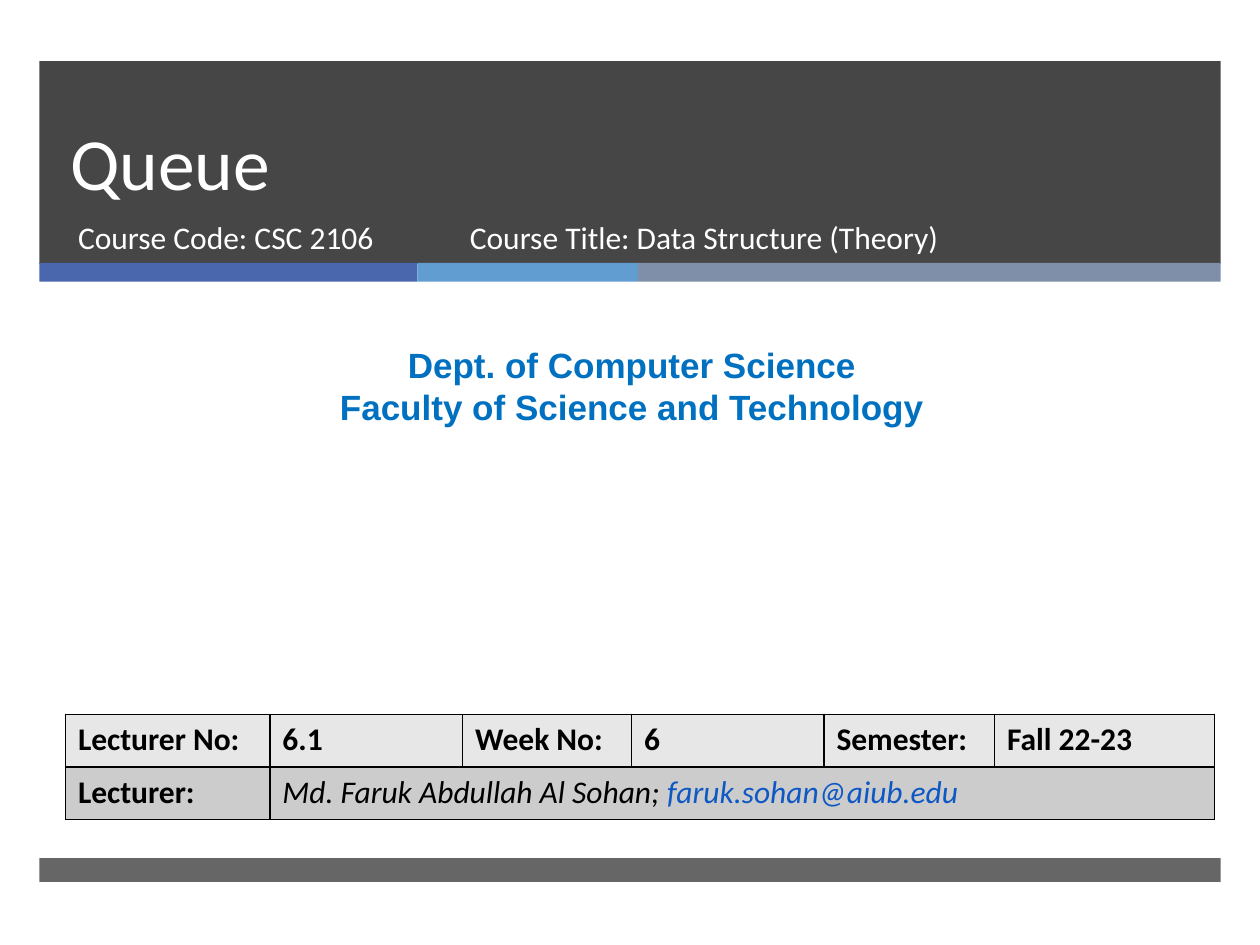
from lxml import etree
from pptx import Presentation
from pptx.dml.color import RGBColor
from pptx.enum import shapes, text
from pptx.oxml import ns
from pptx.util import Pt

CHARCOAL = RGBColor(0x26, 0x26, 0x26)
STRIPES = [
    (216, RGBColor(0x4A, 0x66, 0xAC)),
    (126, RGBColor(0x62, 0x9D, 0xD1)),
    (333, RGBColor(0x7F, 0x8F, 0xA9)),
]
WHITE = RGBColor(0xFF, 0xFF, 0xFF)
BLACK = RGBColor(0, 0, 0)
DEPT_BLUE = RGBColor(0x00, 0x70, 0xC0)
MAIL_BLUE = RGBColor(0x0E, 0x58, 0xC4)
ROW_FILLS = [RGBColor(0xE7, 0xE7, 0xE7), RGBColor(0xCC, 0xCC, 0xCC)]

BAND_LEFT, BAND_WIDTH = 22.5, 675
COURSE = {"name": "Calibri", "size": Pt(18), "color": WHITE}
LABEL = {"name": "Calibri", "size": Pt(18), "color": BLACK, "bold": True}
NAME = LABEL | {"bold": False, "italic": True}


def add_run(paragraph, words, style):
    run = paragraph.add_run()
    run.text = words
    for key, value in style.items():
        if key == "color":
            run.font.color.rgb = value
        else:
            setattr(run.font, key, value)


def add_band(slide, left, top, width, height, color, opacity=100):
    band = slide.shapes.add_shape(
        shapes.MSO_SHAPE.RECTANGLE, Pt(left), Pt(top), Pt(width), Pt(height))
    band.shadow.inherit = False
    band.line.fill.background()
    band.fill.solid()
    band.fill.fore_color.rgb = color
    if opacity < 100:
        tint = band.fill._xPr.find(".//" + ns.qn("a:srgbClr"))
        etree.SubElement(tint, ns.qn("a:alpha"), val=str(opacity * 1000))


def write_box(box, place, lines, style, align=text.PP_ALIGN.LEFT,
              anchor=text.MSO_ANCHOR.TOP):
    box.left, box.top, box.width, box.height = (Pt(v) for v in place)
    frame = box.text_frame
    frame.word_wrap = True
    frame.auto_size = text.MSO_AUTO_SIZE.NONE
    frame.vertical_anchor = anchor
    for number, line in enumerate(lines):
        paragraph = frame.add_paragraph() if number else frame.paragraphs[0]
        paragraph.alignment = align
        paragraph.space_before = Pt(0)
        add_run(paragraph, line, style)
    return frame


def add_text(slide, place, lines, style, **layout):
    box = slide.shapes.add_textbox(*(Pt(v) for v in place))
    return write_box(box, place, lines, style, **layout)


def set_borders(cell):
    properties = cell._tc.get_or_add_tcPr()
    for side in ("lnL", "lnR", "lnT", "lnB"):
        line = etree.SubElement(properties, ns.qn("a:" + side), w=str(Pt(1)))
        fill = etree.SubElement(line, ns.qn("a:solidFill"))
        etree.SubElement(fill, ns.qn("a:srgbClr"), val=str(BLACK))


def add_lecture_table(slide, place, widths, rows):
    table = slide.shapes.add_table(
        len(rows), len(widths), *(Pt(v) for v in place)).table
    for column, width in zip(table.columns, widths):
        column.width = Pt(width)
    for r, row in enumerate(rows):
        for c in range(len(widths)):
            cell = table.cell(r, c)
            set_borders(cell)
            cell.fill.solid()
            cell.fill.fore_color.rgb = ROW_FILLS[r]
        for c, runs in enumerate(row):
            for words, style in runs:
                add_run(table.cell(r, c).text_frame.paragraphs[0], words, style)
    # The lecturer's name takes the rest of the last row
    last = len(rows) - 1
    table.cell(last, 1).merge(table.cell(last, len(widths) - 1))


def main():
    deck = Presentation()
    deck.slide_width, deck.slide_height = Pt(720), Pt(540)
    slide = deck.slides.add_slide(deck.slide_layouts[0])
    title, course_code = slide.placeholders

    # Header block, colour stripes and footer bar
    add_band(slide, BAND_LEFT, 35, BAND_WIDTH, 116, CHARCOAL, 85)
    stripe_left = BAND_LEFT
    for width, color in STRIPES:
        add_band(slide, stripe_left, 150.2, width, 10.8, color)
        stripe_left += width
    add_band(slide, BAND_LEFT, 490.3, BAND_WIDTH, 13.7, CHARCOAL, 70)

    # Bring the placeholders in front of the header
    for holder in (title, course_code):
        slide.shapes._spTree.append(holder._element)

    # Title and course details
    heading = write_box(title, (33, 35.3, 615, 85.7), ["Queue"],
                        COURSE | {"size": Pt(42)},
                        anchor=text.MSO_ANCHOR.BOTTOM)
    heading.paragraphs[0].line_spacing = Pt(46)
    write_box(course_code, (37.4, 121, 219.6, 38),
              ["Course Code: CSC 2106"], COURSE)
    add_text(slide, (261.4, 121, 327.6, 38),
             ["Course Title: Data Structure (Theory)"], COURSE)

    # Department
    add_text(slide, (5.8, 193, 710.6, 55.4),
             ["Dept. of Computer Science", "Faculty of Science and Technology"],
             {"name": "Arial", "size": Pt(20), "color": DEPT_BLUE, "bold": True},
             align=text.PP_ALIGN.CENTER)

    # Lecture details
    facts = ["Lecturer No:", "6.1", "Week No:", "6", "Semester:", "Fall 22-23"]
    lecturer = [("Md. Faruk Abdullah Al Sohan; ", NAME),
                ("faruk.sohan@aiub.edu", NAME | {"color": MAIL_BLUE})]
    add_lecture_table(
        slide, (37.4, 408.2, 656.6, 60), [116.8, 110.2, 96.5, 110, 97.4, 125.7],
        [[[(fact, LABEL)] for fact in facts],
         [[("Lecturer:", LABEL)], lecturer]])

    deck.save("out.pptx")


if __name__ == "__main__":
    main()
